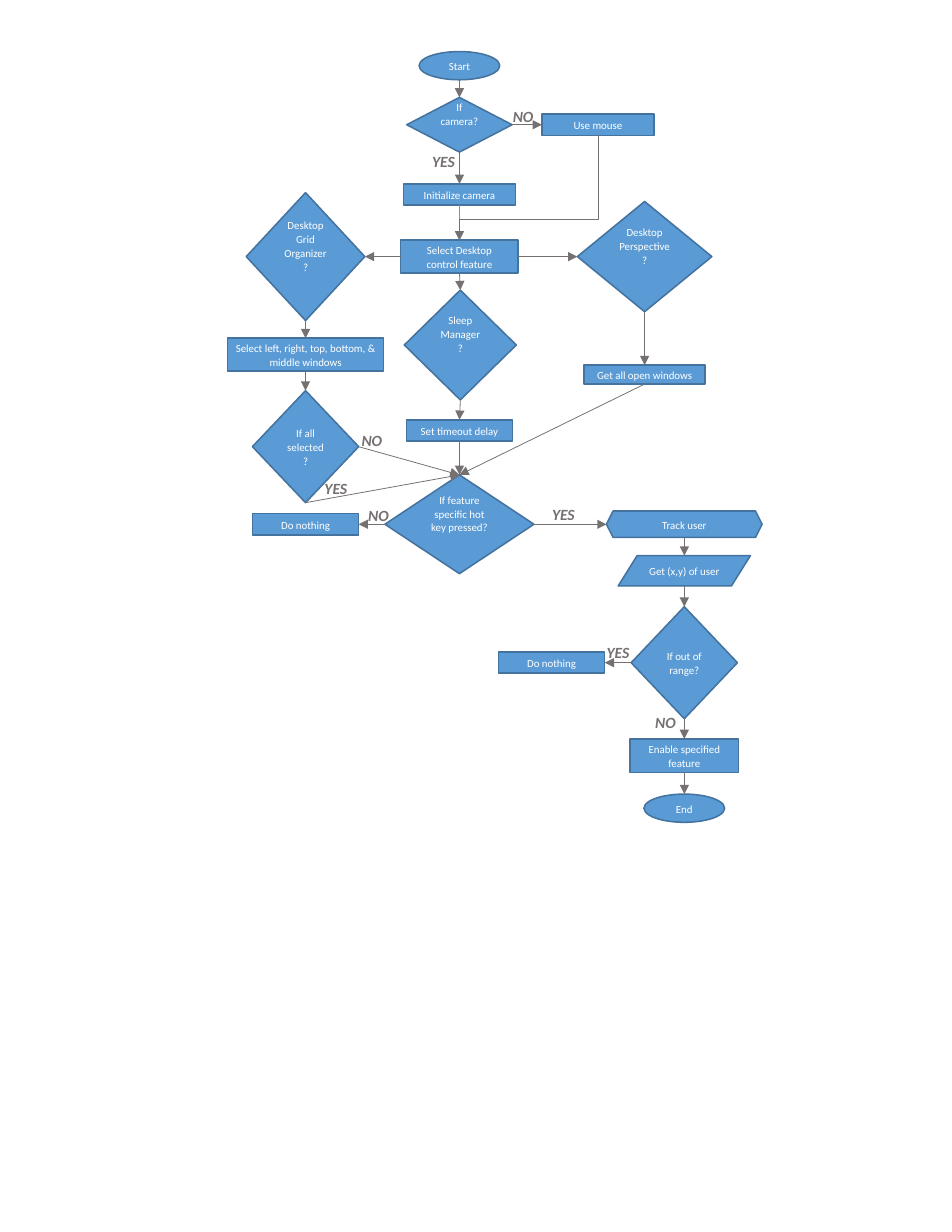
"""Build a one-page flowchart of a window control program."""
import lxml.etree
import pptx
import pptx.dml.color
import pptx.enum.shapes
import pptx.enum.text
import pptx.oxml.ns
import pptx.util

Cm = pptx.util.Cm
Pt = pptx.util.Pt
SHAPE = pptx.enum.shapes.MSO_SHAPE
CONNECTOR = pptx.enum.shapes.MSO_CONNECTOR
ALIGN = pptx.enum.text.PP_ALIGN

BLUE, EDGE, GRAY, WHITE = "5B9BD5", "43739E", "767171", "FFFFFF"
FONT = "Calibri"
SIDES = {"top": 0, "left": 1, "bottom": 2, "right": 3}
GLUED_KINDS = (SHAPE.RECTANGLE, SHAPE.DIAMOND)
AXIS = 10.42
LEFT_COLUMN = -3.49
PERSPECTIVE_COLUMN = 4.2
TRACKING_COLUMN = 5.1


def color(value):
    """Return the colour for a hex string."""
    return pptx.dml.color.RGBColor.from_string(value)


def write_text(frame, text, size=7, fill=WHITE, bold=False, italic=False,
               align=ALIGN.CENTER, line_spacing=None, space_after=None):
    """Write one formatted paragraph into a text frame."""
    paragraph = frame.paragraphs[0]
    paragraph.alignment = align
    paragraph.line_spacing = line_spacing
    paragraph.space_after = space_after
    run = paragraph.add_run()
    run.text = text
    run.font.name = FONT
    run.font.size = Pt(size)
    run.font.bold = bold
    run.font.italic = italic
    run.font.color.rgb = color(fill)


def add_node(slide, box, kind, text, center, top, width, height, raised=False, inset=0.15):
    """Add a flowchart node centred on an offset from the box origin."""
    shape = slide.shapes.add_shape(
        kind, Cm(box[0] + center - width / 2), Cm(box[1] + top), Cm(width), Cm(height))
    shape.shadow.inherit = False
    shape.fill.solid()
    shape.fill.fore_color.rgb = color(BLUE)
    shape.line.color.rgb = color(EDGE)
    shape.line.width = Pt(1)
    frame = shape.text_frame
    frame.word_wrap = True
    frame.vertical_anchor = pptx.enum.text.MSO_ANCHOR.MIDDLE
    frame.margin_left = frame.margin_right = Cm(inset)
    frame.margin_top = Cm(0 if raised else 0.07)
    frame.margin_bottom = Cm(0.5 if raised else 0.07)
    write_text(frame, text, line_spacing=1.07, space_after=Pt(5.1))
    return shape


def add_label(slide, box, text, left, top):
    """Add a YES or NO label beside an arrow."""
    label = slide.shapes.add_textbox(
        Cm(box[0] + left), Cm(box[1] + top), Cm(1.04 if text == "YES" else 0.99), Cm(0.69))
    label.text_frame.word_wrap = False
    label.text_frame.auto_size = pptx.enum.text.MSO_AUTO_SIZE.SHAPE_TO_FIT_TEXT
    write_text(label.text_frame, text, size=10, fill=GRAY, bold=True, italic=True,
               align=ALIGN.LEFT)


def side_point(shape, side):
    """Return the middle of one side of a shape."""
    across = {"left": 0, "right": 2}.get(side, 1)
    down = {"top": 0, "bottom": 2}.get(side, 1)
    return shape.left + shape.width * across // 2, shape.top + shape.height * down // 2


def style_arrow(connector, line_color=GRAY):
    """Give a connector a thin line, an arrowhead and no shadow."""
    connector.line.color.rgb = color(line_color)
    connector.line.width = Pt(0.5)
    name = pptx.oxml.ns.qn
    line = connector.line._get_or_add_ln()
    lxml.etree.SubElement(line, name("a:tailEnd"), type="triangle")
    lxml.etree.SubElement(connector._element.spPr, name("a:effectLst"))


def add_arrow(slide, source, target, start="bottom", end="top", line_color=GRAY):
    """Join two nodes with a straight arrow."""
    connector = slide.shapes.add_connector(
        CONNECTOR.STRAIGHT, *side_point(source, start), *side_point(target, end))
    if source.auto_shape_type in GLUED_KINDS:
        connector.begin_connect(source, SIDES[start])
    if target.auto_shape_type in GLUED_KINDS:
        connector.end_connect(target, SIDES[end])
    style_arrow(connector, line_color)


def add_bent_arrow(slide, source, target, bend):
    """Join a bottom side to a top side with a down, across, down arrow."""
    start_x, start_y = side_point(source, "bottom")
    end_x, end_y = side_point(target, "top")
    across, down = start_x - end_x, end_y - start_y
    left = (start_x + end_x - down) // 2
    top = (start_y + end_y - across) // 2
    connector = slide.shapes.add_connector(
        CONNECTOR.ELBOW, left, top, left + down, top + across)
    name = pptx.oxml.ns.qn
    properties = connector._element.spPr
    properties.find(name("a:xfrm")).set("rot", "5400000")
    adjustments = properties.find(name("a:prstGeom")).find(name("a:avLst"))
    lxml.etree.SubElement(
        adjustments, name("a:gd"), name="adj1", fmla=f"val {round(bend * 100000)}")
    style_arrow(connector)


def draw_setup(slide, box):
    """Draw the camera check and return the feature selection node."""
    start = add_node(slide, box, SHAPE.OVAL, "Start", 0, 0, 1.83, 0.64)
    check = add_node(slide, box, SHAPE.DIAMOND, "If camera?", 0, 1.04, 2.39, 1.24, raised=True)
    camera = add_node(slide, box, SHAPE.RECTANGLE, "Initialize camera", 0, 3, 2.54, 0.48)
    select = add_node(slide, box, SHAPE.RECTANGLE, "Select Desktop control feature",
                      0, 4.28, 2.67, 0.74, inset=0.3)
    mouse = add_node(slide, box, SHAPE.RECTANGLE, "Use mouse", 3.14, 1.42, 2.54, 0.48)
    add_arrow(slide, start, check)
    add_arrow(slide, check, camera)
    add_arrow(slide, camera, select, line_color=BLUE)
    add_arrow(slide, check, mouse, "right", "left")
    add_bent_arrow(slide, mouse, select, 0.8)
    add_label(slide, box, "NO", 0.96, 1.14)
    add_label(slide, box, "YES", -0.87, 2.16)
    return select


def draw_features(slide, box, select):
    """Draw the three feature branches and return their last nodes."""
    grid = add_node(slide, box, SHAPE.DIAMOND, "Desktop Grid Organizer?",
                    LEFT_COLUMN, 0, 2.69, 2.9, raised=True)
    regions = add_node(slide, box, SHAPE.RECTANGLE,
                       "Select left, right, top, bottom, & middle windows",
                       LEFT_COLUMN, 3.3, 3.53, 0.74)
    selected = add_node(slide, box, SHAPE.DIAMOND, "If all selected?",
                        LEFT_COLUMN, 4.49, 2.41, 2.54)
    sleep = add_node(slide, box, SHAPE.DIAMOND, "Sleep Manager?",
                     0.02, 2.21, 2.54, 2.49, raised=True)
    delay = add_node(slide, box, SHAPE.RECTANGLE, "Set timeout delay", 0, 5.15, 2.41, 0.48)
    perspective = add_node(slide, box, SHAPE.DIAMOND, "Desktop Perspective?",
                           PERSPECTIVE_COLUMN, 0.2, 3.05, 2.5, raised=True)
    windows = add_node(slide, box, SHAPE.RECTANGLE, "Get all open windows",
                       PERSPECTIVE_COLUMN, 3.91, 2.74, 0.43)
    add_arrow(slide, select, grid, "left", "right")
    add_arrow(slide, select, sleep)
    add_arrow(slide, select, perspective, "right", "left")
    for source, target in ((grid, regions), (regions, selected),
                           (sleep, delay), (perspective, windows)):
        add_arrow(slide, source, target)
    add_label(slide, box, "NO", -2.47, 5.28)
    add_label(slide, box, "YES", -3.31, 6.37)
    return selected, delay, windows


def draw_tracking(slide, box, selected, delay, windows):
    """Draw the hot key check and the user tracking column."""
    hot_key = add_node(slide, box, SHAPE.DIAMOND, "If feature specific hot key pressed?",
                       0, 0, 3.38, 2.24, raised=True)
    no_key = add_node(slide, box, SHAPE.RECTANGLE, "Do nothing", LEFT_COLUMN, 0.88, 2.41, 0.48)
    in_range = add_node(slide, box, SHAPE.RECTANGLE, "Do nothing", 2.09, 4.02, 2.41, 0.48)
    column = [add_node(slide, box, kind, text, TRACKING_COLUMN, top, width, height)
              for kind, text, top, width, height in (
                  (SHAPE.HEXAGON, "Track user", 0.82, 3.53, 0.6),
                  (SHAPE.PARALLELOGRAM, "Get (x,y) of user", 1.83, 3, 0.69),
                  (SHAPE.DIAMOND, "If out of range?", 2.99, 2.41, 2.54),
                  (SHAPE.RECTANGLE, "Enable specified feature", 5.99, 2.46, 0.76),
                  (SHAPE.OVAL, "End", 7.24, 1.83, 0.64))]
    track, position, range_check = column[:3]
    position.adjustments[0] = 0.625
    for source in (selected, delay, windows):
        add_arrow(slide, source, hot_key)
    add_arrow(slide, selected, hot_key, "right")
    add_arrow(slide, hot_key, no_key, "left", "right")
    add_arrow(slide, hot_key, track, "right", "left")
    add_arrow(slide, range_check, in_range, "left", "right")
    for source, target in zip(column, column[1:]):
        add_arrow(slide, source, target)
    for text, left, top in (("YES", 1.85, 0.56), ("NO", -2.32, 0.58),
                            ("YES", 3.09, 3.68), ("NO", 4.19, 5.28)):
        add_label(slide, box, text, left, top)


presentation = pptx.Presentation()
presentation.slide_width = Cm(21.59)
presentation.slide_height = Cm(27.94)
flowchart = presentation.slides.add_slide(presentation.slide_layouts[6])
selection = draw_setup(flowchart, (AXIS, 1.17))
branch_ends = draw_features(flowchart, (AXIS, 4.37), selection)
draw_tracking(flowchart, (AXIS, 10.77), *branch_ends)
presentation.save("out.pptx")
